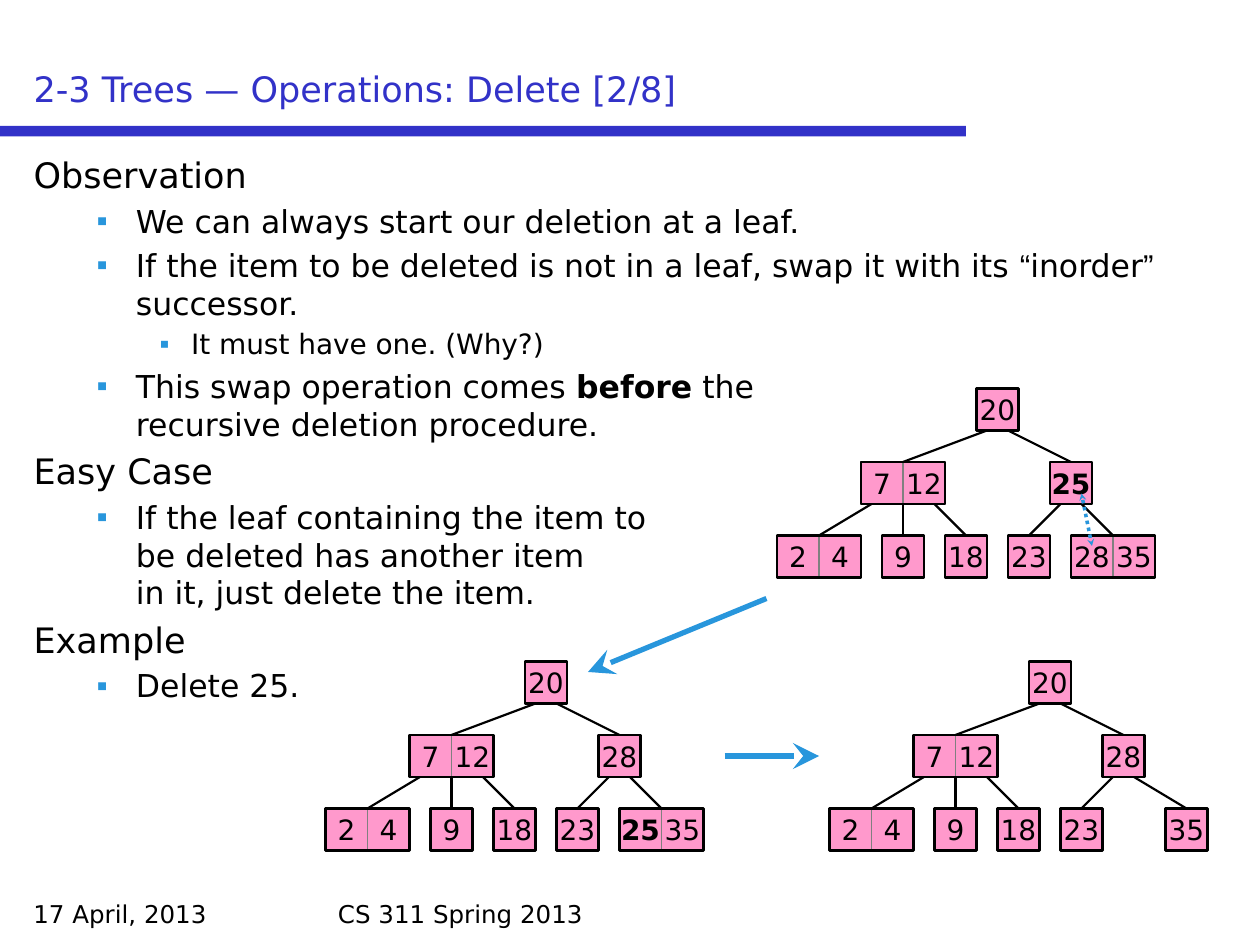
from lxml.etree import SubElement
from pptx import Presentation
from pptx.dml.color import RGBColor
from pptx.enum.dml import MSO_LINE
from pptx.enum.shapes import MSO_CONNECTOR as CONN, MSO_SHAPE as SHAPE
from pptx.enum.text import MSO_ANCHOR as ANCHOR, MSO_AUTO_SIZE as AUTO, PP_ALIGN as ALIGN
from pptx.oxml.ns import qn
from pptx.util import Pt

FONT = "DejaVu Sans"
BLACK, BLUE, SKY, PINK, GRAY = "000000", "3232C8", "2896DC", "FF99CC", "808080"
rgb = RGBColor.from_string


def style(font, size, color=BLACK, name=FONT, bold=False):
    for key, value in dict(size=Pt(size), name=name, bold=bold).items():
        setattr(font, key, value)
    font.color.rgb = rgb(color)


def connect(x1, y1, x2, y2, color=BLACK, width=1.25, size=None, ends=()):
    c = s.shapes.add_connector(CONN.STRAIGHT, Pt(x1), Pt(y1), Pt(x2), Pt(y2))
    c.line.color.rgb = rgb(color)
    c.line.width = Pt(width)
    ln = c.line._get_or_add_ln()
    for end in ends:
        SubElement(ln, qn(f"a:{end}"), type="stealth", w=size, len=size)
    SubElement(c._element.spPr, qn("a:effectLst"))
    return c


prs = Presentation()
prs.slide_width, prs.slide_height = Pt(720), Pt(540)
s = prs.slides.add_slide(prs.slide_layouts[1])
title, body = s.placeholders

# Rule under the title
bar = s.shapes.add_shape(SHAPE.RECTANGLE, 0, Pt(72), Pt(552), Pt(6))
bar.shadow.inherit = False
bar.fill.solid()
bar.fill.fore_color.rgb = rgb(BLUE)
bar.line.fill.background()

# Date and footer
for text, x, w in [("17 April, 2013", 12, 168), ("CS 311 Spring 2013", 186, 348)]:
    sp = s.shapes.add_textbox(Pt(x), Pt(510), Pt(w), Pt(24))
    sp.text_frame.word_wrap = True
    p = sp.text_frame.paragraphs[0]
    r = p.add_run()
    r.text = text
    style(r.font, 14)

# Title
for sp, y, h, anchor in [(title, 12, 54, ANCHOR.BOTTOM), (body, 84, 420, ANCHOR.TOP)]:
    sp.left, sp.top, sp.width, sp.height = Pt(12), Pt(y), Pt(696), Pt(h)
    sp.text_frame.vertical_anchor = anchor
    sp.text_frame.auto_size = AUTO.NONE
p = title.text_frame.paragraphs[0]
p.alignment = ALIGN.LEFT
r = p.add_run()
r.text = "2-3 Trees — Operations: Delete [2/8]"
style(r.font, 20, BLUE)

# Body: level and runs, each run a string or (string, format)
ARIAL = dict(name="Arial")
outline = [
    (0, ["Observation"]),
    (1, ["We can always start our deletion at a leaf."]),
    (1, ["If the item to be deleted is not in a leaf, swap it with its ",
         ("“", ARIAL), "inorder", ("”", ARIAL), " successor."]),
    (2, ["It must have one. (Why?)"]),
    (1, ["This swap operation comes ", ("before", dict(bold=True)),
         " the\nrecursive deletion procedure."]),
    (0, ["Easy Case"]),
    (1, ["If the leaf containing the item to\nbe deleted has another item\n"
         "in it, just delete the item."]),
    (0, ["Example"]),
    (1, ["Delete 25."]),
]
LEVELS = [(20, 27, -27), (18, 58.5, -22.5), (16, 90, -18)]  # size, margin, indent
tf = body.text_frame
for i, (level, runs) in enumerate(outline):
    p = tf.add_paragraph() if i else tf.paragraphs[0]
    size, margin, indent = LEVELS[level]
    p.level = level
    pPr = p._p.get_or_add_pPr()
    pPr.set("marL", str(Pt(margin)))
    pPr.set("indent", str(Pt(indent)))
    if level:
        SubElement(SubElement(pPr, qn("a:buClr")), qn("a:srgbClr"), val=SKY)
        SubElement(pPr, qn("a:buFont"), typeface="Arial")
        SubElement(pPr, qn("a:buChar"), char="▪")
    else:
        SubElement(pPr, qn("a:buNone"))
    p.space_before = Pt(size * 0.2 if i else 0)
    for run in runs:
        text, fmt = (run, {}) if isinstance(run, str) else run
        for n, line in enumerate(text.split("\n")):
            if n:
                p.add_line_break()
            r = p.add_run()
            r.text = line
            style(r.font, size, **fmt)

# Trees: origin, then the nodes that differ (keys, x)
BOX, ROW = 24, 42
trees = [
    (444, 222, "25", ("28 35", 168)),
    (186, 378, "28", ("25 35", 168)),
    (474, 378, "28", ("35", 192)),
]
for left, top, right_key, last_leaf in trees:
    rows = [
        [("20", 114)],
        [("7 12", 48), (right_key, 156)],
        [("2 4", 0), ("9", 60), ("18", 96), ("23", 132), last_leaf],
    ]
    nodes = []
    for row, items in enumerate(rows):
        y = top + row * ROW
        for keys, x in items:
            keys = keys.split()
            single = len(keys) == 1
            for k, key in enumerate(keys):
                sp = s.shapes.add_shape(SHAPE.RECTANGLE, Pt(left + x + k * BOX), Pt(y),
                                        Pt(BOX), Pt(BOX))
                sp.shadow.inherit = False
                sp.fill.solid()
                sp.fill.fore_color.rgb = rgb(PINK)
                sp.line.color.rgb = rgb(BLACK if single else GRAY)
                sp.line.width = Pt(1.25 if single else 0.75)
                tf = sp.text_frame
                tf.word_wrap = False
                tf.vertical_anchor = ANCHOR.MIDDLE
                p = tf.paragraphs[0]
                p.alignment = ALIGN.CENTER
                r = p.add_run()
                r.text = key
                style(r.font, 16, bold=key == "25")
            if not single:  # frame around a two-item node
                sp = s.shapes.add_shape(SHAPE.RECTANGLE, Pt(left + x), Pt(y),
                                        Pt(BOX * len(keys)), Pt(BOX))
                sp.shadow.inherit = False
                sp.fill.background()
                sp.line.color.rgb = rgb(BLACK)
                sp.line.width = Pt(1.25)
            nodes.append((sp, x + BOX * len(keys) / 2, y))

    # Edges: parent, child, start x under the parent
    for parent, child, x in [(0, 1, 120), (0, 2, 132), (1, 3, 54), (1, 4, 72),
                             (1, 5, 90), (2, 6, 162), (2, 7, 174)]:
        above, middle, y = nodes[parent]
        below, end, y2 = nodes[child]
        c = connect(left + x, y + BOX, left + end, y2)
        if x == middle:
            c.begin_connect(above, 2)
        c.end_connect(below, 0)

# Swap arrow and step arrows
swap = connect(618, 282, 624, 312, SKY, 2, "sm", ["headEnd", "tailEnd"])
swap.line.dash_style = MSO_LINE.ROUND_DOT
connect(438, 342, 336, 384, SKY, 3, "lg", ["tailEnd"])
connect(414, 432, 468, 432, SKY, 3, "lg", ["tailEnd"])

prs.save("out.pptx")
